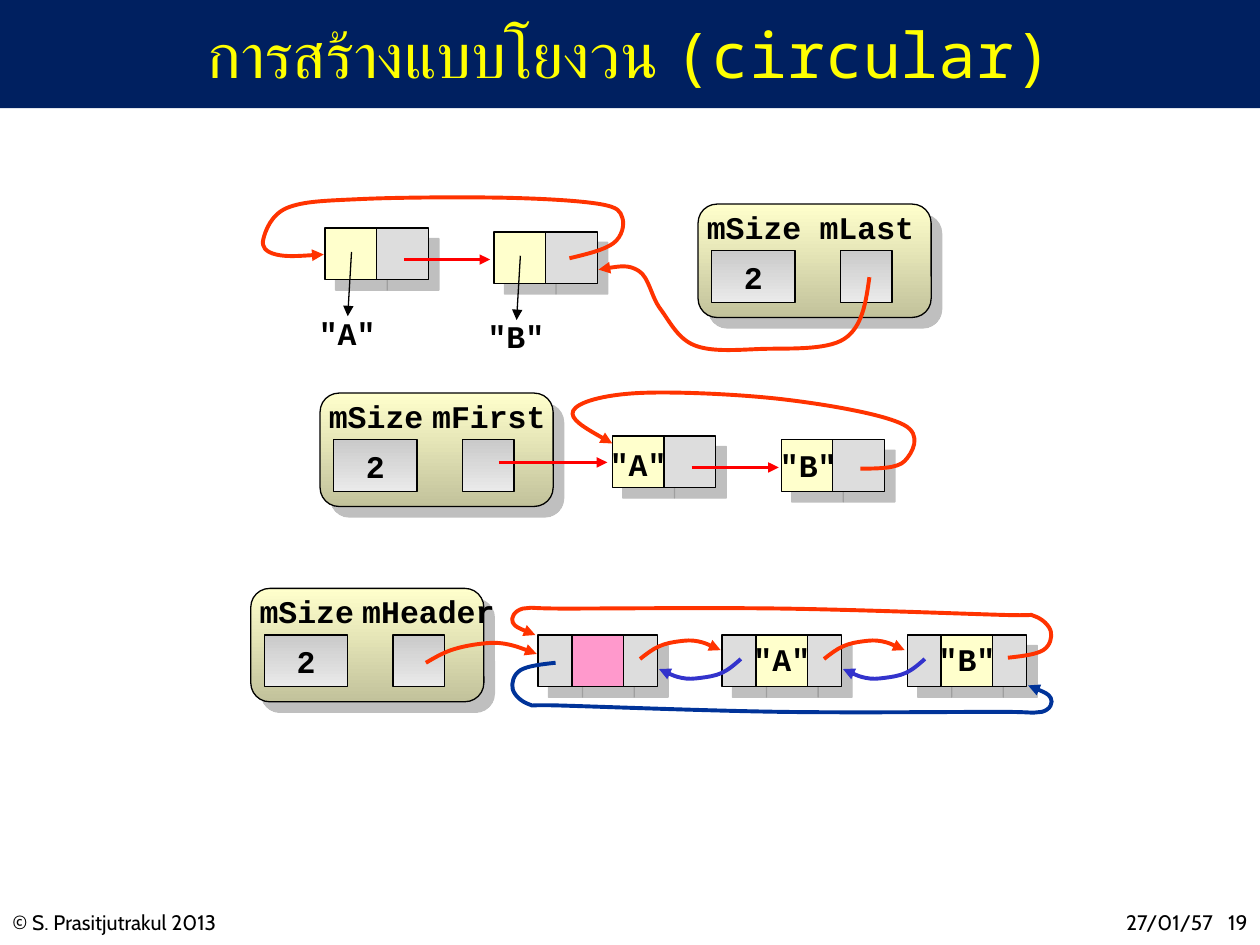
from lxml.etree import SubElement
from pptx import Presentation
from pptx.dml.color import RGBColor
from pptx.enum.shapes import MSO_CONNECTOR, MSO_SHAPE
from pptx.enum.text import MSO_ANCHOR, PP_ALIGN
from pptx.oxml.ns import qn
from pptx.util import Cm, Pt

CREAM, GREY, PINK = "FFFFCC", "DDDDDD", "FF99CC"
ORANGE, RED, BLUE, NAVY, BLACK = "FF3300", "FF0000", "3333CC", "003399", "000000"
FIELD_COLORS = ("CACACA", "EAEAEA")
PANEL_COLORS = (CREAM, "C2C29B")
SIDE = 0.41
SINGLE = [(SIDE, CREAM), (SIDE, GREY)]
DOUBLE = [(0.27, GREY), (SIDE, CREAM), (0.27, GREY)]
HEADER = [(0.27, GREY), (SIDE, PINK), (0.27, GREY)]
NODE_STEP = 1.46

FORWARD = [(5.08, 5.23), (5.23, 5.13), (5.39, 5.09), (5.54, 5.09), (5.72, 5.16)]
BACKWARD = [(5.88, 5.23), (5.73, 5.34), (5.56, 5.38), (5.41, 5.38), (5.23, 5.31)]

LAST_LIST = {
    "panel": (5.54, 1.62, "mLast", 1.14),
    "nodes": [(2.58, 1.81, SINGLE), (3.92, 1.84, SINGLE)],
    "labels": [('"A"', 2.34, 2.44), ('"B"', 3.68, 2.47)],
    "arrows": [((2.79, 2), (2.76, 2.51), BLACK, 0.75),
               ((4.13, 2.03), (4.1, 2.54), BLACK, 0.75),
               ((3.21, 2.06), (3.89, 2.06), RED, 2)],
    "curves": [([(6.9, 2.2), (6.7, 2.69), (6.03, 2.77), (5.51, 2.74),
                 (5.24, 2.45), (5.07, 2.15), (4.75, 2.14)], ORANGE)],
}
HEADER_LIST = {
    "panel": (1.99, 4.67, "mHeader", 1.28),
    "nodes": [(4.27, 5.04, HEADER), (5.73, 5.04, DOUBLE), (7.2, 5.04, DOUBLE)],
    "labels": [('"A"', 5.79, 5.03), ('"B"', 7.26, 5.03)],
    "arrows": [],
    "curves": [([(3.38, 5.26), (3.58, 5.16), (3.81, 5.11), (4.01, 5.11), (4.26, 5.19)], ORANGE)]
    + [([(x + shift, y) for x, y in knots], color)
       for shift in (0, NODE_STEP) for knots, color in ((FORWARD, ORANGE), (BACKWARD, BLUE))],
}
FIRST_LIST = {
    "panel": (2.54, 3.12, "mFirst", 1.14),
    "nodes": [(4.86, 3.46, SINGLE), (6.2, 3.49, SINGLE)],
    "labels": [('"A"', 4.65, 3.48), ('"B"', 6, 3.49)],
    "arrows": [((3.96, 3.67), (4.82, 3.67), RED, 2), ((5.49, 3.71), (6.18, 3.71), RED, 2)],
    "curves": [([(6.83, 3.72), (7.18, 3.66), (7.17, 3.37), (6.22, 3.17),
                 (5.06, 3.12), (4.55, 3.26), (4.86, 3.52)], ORANGE)],
}
LOOPS = [
    ([(8, 5.22), (8.28, 5.16), (8.34, 5.01), (8.21, 4.89), (7.95, 4.88), (6.21, 4.83),
      (4.49, 4.83), (4.15, 4.83), (4.07, 4.94), (4.25, 5.04)], ORANGE),
    ([(4.41, 5.26), (4.13, 5.32), (4.07, 5.47), (4.2, 5.59), (4.46, 5.6), (6.2, 5.65),
      (7.92, 5.65), (8.27, 5.65), (8.34, 5.54), (8.16, 5.44)], NAVY),
    ([(4.52, 2.05), (4.87, 1.93), (4.94, 1.73), (4.76, 1.62), (4, 1.57), (2.87, 1.58),
      (2.28, 1.65), (2.09, 1.9), (2.19, 2.02), (2.57, 2.02)], ORANGE),
]


def inch(*values):
    return [Cm(value * 2.54) for value in values]


def rgb(color):
    return RGBColor.from_string(color)


def write(box, spans, size=18, font="Courier New", color=BLACK, bold=True,
          align=PP_ALIGN.CENTER, anchor=MSO_ANCHOR.TOP, wrap=False):
    frame = box.text_frame
    frame.word_wrap = wrap
    frame.vertical_anchor = anchor
    para = frame.paragraphs[0]
    para.alignment = align
    para.font.size, para.font.name, para.font.bold = Pt(size), font, bold
    para.font.color.rgb = rgb(color)
    for text in spans:
        para.add_run().text = text
    return para


def add_box(area, kind, place, colors, shadow=False, outline=True):
    box = area.add_shape(kind, *inch(*place))
    if isinstance(colors, str):
        box.fill.solid()
        box.fill.fore_color.rgb = rgb(colors)
    else:
        box.fill.gradient()
        box.fill.gradient_angle = 270
        for stop, color in zip(box.fill.gradient_stops, colors):
            stop.color.rgb = rgb(color)
    if outline:
        box.line.color.rgb = rgb(BLACK)
        box.line.width = Pt(0.75)
    else:
        box.line.fill.background()
    box.shadow.inherit = False
    if shadow:
        effects = box._element.xpath("./p:spPr/a:effectLst")[0]
        outer = SubElement(effects, qn("a:outerShdw"), dist=str(Pt(8.5)), dir="2700000",
                           algn="ctr", rotWithShape="0")
        tint = SubElement(outer, qn("a:srgbClr"), val="808080")
        SubElement(tint, qn("a:alpha"), val="50000")
    return box


def style_arrow(shape, color, width):
    shape.line.color.rgb = rgb(color)
    shape.line.width = Pt(width)
    SubElement(shape._element.xpath("./p:spPr/a:ln")[0], qn("a:tailEnd"), type="triangle")


def add_arrow(area, start, end, color, width):
    arrow = area.add_connector(MSO_CONNECTOR.STRAIGHT, *inch(*start, *end))
    style_arrow(arrow, color, width)
    SubElement(arrow._element.spPr, qn("a:effectLst"))


def middle(first, second):
    return tuple((a + b) / 2 for a, b in zip(first, second))


def add_curve(area, knots, color):
    slopes = [tuple((b - a) / 6 for a, b in zip(before, after))
              for before, after in zip(knots, knots[2:])]
    leaving = [(x + dx, y + dy) for (x, y), (dx, dy) in zip(knots[1:], slopes)]
    arriving = [(x - dx, y - dy) for (x, y), (dx, dy) in zip(knots[1:], slopes)]
    leaving.insert(0, middle(knots[0], arriving[0]))
    arriving.append(middle(leaving[-1], knots[-1]))
    points = [point for trio in zip(leaving, arriving, knots[1:]) for point in trio]
    builder = area.build_freeform(*inch(*knots[0]))
    builder.add_line_segments([inch(*point) for point in points], close=False)
    curve = builder.convert_to_shape()
    outline = curve._element.xpath(".//a:path")[0]
    steps = outline.findall(qn("a:lnTo"))
    for index in range(0, len(steps), 3):
        bezier = SubElement(outline, qn("a:cubicBezTo"))
        for step in steps[index:index + 3]:
            bezier.append(step[0])
            outline.remove(step)
    curve.fill.background()
    style_arrow(curve, color, 2.25)
    curve.shadow.inherit = False


def add_label(area, text, left, top, width=0.83):
    write(area.add_textbox(*inch(left, top, width, 0.4)), [text])


def add_panel(area, left, top, name, name_width):
    add_box(area, MSO_SHAPE.ROUNDED_RECTANGLE, (left, top, 1.85, 0.9), PANEL_COLORS, shadow=True)
    add_box(area, MSO_SHAPE.RECTANGLE, (left + 1.13, top + 0.37, SIDE, SIDE), FIELD_COLORS)
    add_label(area, name, left + 0.77, top - 0.02, name_width)
    size = add_box(area, MSO_SHAPE.RECTANGLE, (left + 0.11, top + 0.37, 0.66, SIDE), FIELD_COLORS)
    write(size, ["2"], anchor=MSO_ANCHOR.MIDDLE)
    add_label(area, "mSize", left - 0.06, top - 0.02, 1.01)


def add_list(page, parts):
    area = page.shapes.add_group_shape().shapes
    add_panel(area, *parts["panel"])
    for left, top, cells in parts["nodes"]:
        for width, color in cells:
            add_box(area, MSO_SHAPE.RECTANGLE, (left, top, width, SIDE), color, shadow=True)
            left += width
    for label in parts["labels"]:
        add_label(area, *label)
    for arrow in parts["arrows"]:
        add_arrow(area, *arrow)
    for curve in parts["curves"]:
        add_curve(area, *curve)


def main():
    deck = Presentation()
    deck.slide_width, deck.slide_height = inch(10, 7.5)
    page = deck.slides.add_slide(deck.slide_layouts[6])
    shapes = page.shapes
    add_box(shapes, MSO_SHAPE.RECTANGLE, (0, 0, 10, 0.86), "002060", outline=False)
    small = {"size": 12, "font": "Cabin", "bold": False, "wrap": True}
    write(shapes.add_textbox(*inch(0, 7.17, 3.25, 0.3)), ["© S. Prasitjutrakul 2013"],
          align=PP_ALIGN.LEFT, **small)
    date = write(shapes.add_textbox(*inch(7.83, 7.17, 2.17, 0.3)), ["27/01/57", " ", "19"],
                 align=PP_ALIGN.RIGHT, **small)
    date.runs[1].font._element.set("spc", "600")
    write(shapes.add_textbox(*inch(0.75, 0.01, 8.5, 0.83)), ["การสร้างแบบโยงวน (circular)"],
          size=36, font="Noto Sans Mono", color="FFFF00", bold=False,
          anchor=MSO_ANCHOR.MIDDLE, wrap=True)
    add_list(page, LAST_LIST)
    add_list(page, HEADER_LIST)
    for loop in LOOPS:
        add_curve(shapes, *loop)
    add_list(page, FIRST_LIST)
    deck.save("out.pptx")


if __name__ == "__main__":
    main()
